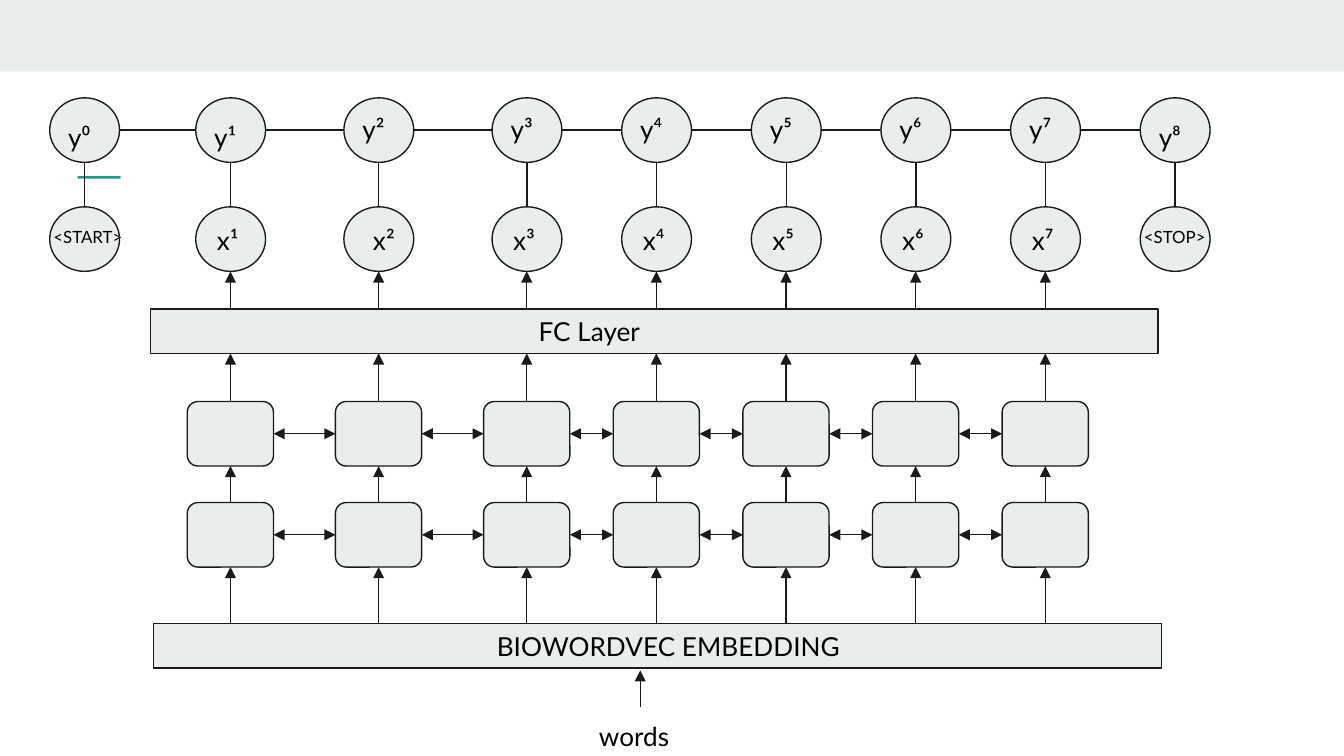
from itertools import accumulate, pairwise

from lxml.etree import SubElement
from pptx import Presentation
from pptx.dml.color import RGBColor
from pptx.enum.shapes import MSO_CONNECTOR, MSO_SHAPE
from pptx.oxml.ns import qn
from pptx.util import Cm, Pt

MIST = RGBColor(0xE9, 0xED, 0xEE)
INK = RGBColor(0x1A, 0x1A, 0x1A)
TEAL = RGBColor(0x1A, 0x99, 0x88)
BLACK = RGBColor(0, 0, 0)

LINE_WIDTH = Pt(0.75)
TEXT_FRAME_FORMAT = {
    "word_wrap": True,
    "margin_left": Cm(0.25),
    "margin_right": Cm(0.25),
    "margin_top": Cm(0.25),
    "margin_bottom": Cm(0.25),
}
FONT_FORMAT = {"name": "Lato", "size": Pt(14)}

WIDE_STEP, NARROW_STEP = 2.8, 2.45
WORD_STEPS = [WIDE_STEP] * 2 + [NARROW_STEP] * 4
START_STEP = 2.76
CIRCLE_WIDTH, NODE_HEIGHT = 1.32, 1.22
CELL_WIDTH = 1.63
SUPERSCRIPTS = "⁰¹²³⁴⁵⁶⁷⁸"


def set_format(target, values):
    for name, value in values.items():
        setattr(target, name, value)


def add_block(slide, kind, box, fill=MIST, outlined=True):
    shape = slide.shapes.add_shape(kind, *map(Cm, box))
    shape.shadow.inherit = False
    shape.fill.solid()
    shape.fill.fore_color.rgb = fill
    if outlined:
        shape.line.color.rgb = INK
        shape.line.width = LINE_WIDTH
    else:
        shape.line.fill.background()
    return shape


def add_link(slide, start, end, *arrowheads):
    connector = slide.shapes.add_connector(
        MSO_CONNECTOR.STRAIGHT, *map(Cm, (*start, *end))
    )
    connector.line.color.rgb = INK
    connector.line.width = LINE_WIDTH
    properties = connector.element.spPr
    for arrowhead in arrowheads:
        SubElement(properties.find(qn("a:ln")), qn(arrowhead), type="triangle")
    SubElement(properties, qn("a:effectLst"))


def add_label(slide, text, box, **font_changes):
    shape = slide.shapes.add_textbox(*map(Cm, box))
    set_format(shape.text_frame, TEXT_FRAME_FORMAT)
    paragraph = shape.text_frame.paragraphs[0]
    run = paragraph.add_run()
    run.text = text
    set_format(run.font, FONT_FORMAT | font_changes)
    run.font.color.rgb = BLACK


def add_header(slide, box):
    left, top, width, height = box
    add_block(slide, MSO_SHAPE.RECTANGLE, box, outlined=False)
    accent = (left + 1.47, top + height + 1.98, 0.81, 0.05)
    add_block(slide, MSO_SHAPE.RECTANGLE, accent, TEAL, outlined=False)


def add_layer_bar(slide, box, text, text_indent):
    left, top, width, height = box
    add_block(slide, MSO_SHAPE.RECTANGLE, box)
    label_box = (left + text_indent, top - 0.12, 7.47, 0.7)
    add_label(slide, text, label_box)


def add_tag_sequence(slide, box):
    left, top, width, height = box
    steps = [START_STEP, *WORD_STEPS, NARROW_STEP]
    centers = list(accumulate(steps, initial=left + CIRCLE_WIDTH / 2))
    lower_top = top + height - NODE_HEIGHT
    tag_middle = top + NODE_HEIGHT / 2
    last = len(centers) - 1

    for center, following in pairwise(centers):
        add_link(
            slide,
            (center + CIRCLE_WIDTH / 2, tag_middle),
            (following - CIRCLE_WIDTH / 2, tag_middle),
        )
    for index, center in enumerate(centers):
        for circle_top in (top, lower_top):
            circle_box = (center - CIRCLE_WIDTH / 2, circle_top, CIRCLE_WIDTH, NODE_HEIGHT)
            add_block(slide, MSO_SHAPE.OVAL, circle_box)
        add_link(slide, (center, lower_top), (center, top + NODE_HEIGHT))

        drop = 0.19 if index in (0, 1, last) else 0.05
        tag_box = (center - 0.56, top + drop, 1.14, 0.84)
        add_label(slide, "y" + SUPERSCRIPTS[index], tag_box)
        if index in (0, last):
            word = "<STOP>" if index else "<START>"
            word_box = (center - 0.84, lower_top + 0.18, 2.06, 0.84)
            add_label(slide, word, word_box, size=Pt(9))
        else:
            shift = 0.36 if index == 2 else 0.51
            word_box = (center - shift, lower_top + 0.08, 1.14, 0.84)
            add_label(slide, "x" + SUPERSCRIPTS[index], word_box)


def add_encoder(slide, box):
    left, top, width, height = box
    centers = list(accumulate(WORD_STEPS, initial=left + CELL_WIDTH / 2))
    lower_top = top + height - NODE_HEIGHT

    for row_top in (top, lower_top):
        for center in centers:
            cell_box = (center - CELL_WIDTH / 2, row_top, CELL_WIDTH, NODE_HEIGHT)
            add_block(slide, MSO_SHAPE.ROUNDED_RECTANGLE, cell_box)
        middle = row_top + NODE_HEIGHT / 2
        for center, following in pairwise(centers):
            add_link(
                slide,
                (center + CELL_WIDTH / 2, middle),
                (following - CELL_WIDTH / 2, middle),
                "a:headEnd",
                "a:tailEnd",
            )
    add_upward_arrows(slide, centers, lower_top, top + NODE_HEIGHT)
    return centers


def add_upward_arrows(slide, centers, bottom, top):
    for center in centers:
        add_link(slide, (center, bottom), (center, top), "a:tailEnd")


def add_words_input(slide, box):
    left, top, width, height = box
    add_label(slide, "words", (left, top + 0.69, width, height - 0.69))
    add_upward_arrows(slide, [left + width / 2], top + 0.69, top)


def add_network(slide, box):
    left, top, width, height = box
    sequence_height, encoder_height = 3.28, 3.13
    layer_top, encoder_top, embedding_top = top + 3.99, top + 5.74, top + 9.94
    bar_width, bar_height = 19.05, 0.84

    add_tag_sequence(slide, (left, top, 21.93, sequence_height))
    centers = add_encoder(slide, (left + 2.6, encoder_top, 17.03, encoder_height))
    add_layer_bar(slide, (left + 1.9, layer_top, bar_width, bar_height), "FC Layer", 7.09)
    add_layer_bar(
        slide,
        (left + 1.96, embedding_top, bar_width, bar_height),
        "BIOWORDVEC EMBEDDING",
        6.24,
    )
    add_upward_arrows(slide, centers, layer_top, top + sequence_height)
    add_upward_arrows(slide, centers, encoder_top, layer_top + bar_height)
    add_upward_arrows(slide, centers, embedding_top, encoder_top + encoder_height)
    add_words_input(slide, (left + 10.13, top + 10.82, 2.06, height - 10.82))


def main():
    presentation = Presentation()
    set_format(presentation, {"slide_width": Cm(25.4), "slide_height": Cm(14.29)})
    slide = presentation.slides.add_slide(presentation.slide_layouts[6])
    add_header(slide, (0, 0, 25.4, 1.35))
    add_network(slide, (0.94, 1.85, 21.93, 12.44))
    presentation.save("out.pptx")


if __name__ == "__main__":
    main()
